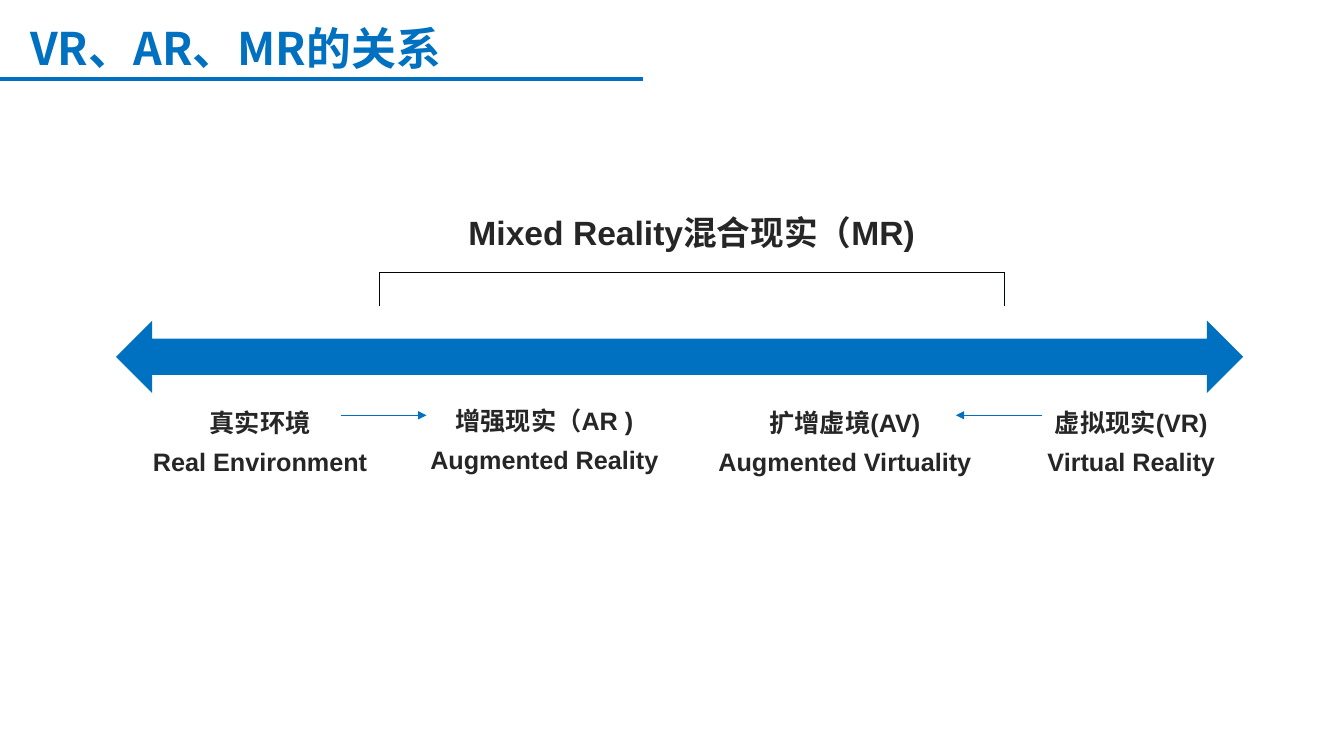
from dataclasses import dataclass

from lxml import etree
from pptx import Presentation
from pptx import util as u
from pptx.dml.color import RGBColor
from pptx.enum import shapes, text
from pptx.oxml import ns


@dataclass(frozen=True)
class Theme:
    blue: RGBColor = RGBColor(0x00, 0x70, 0xC0)
    ink: RGBColor = RGBColor(0x26, 0x26, 0x26)
    bracket: RGBColor = RGBColor(0x00, 0x05, 0x08)
    latin: str = "Arial"
    chinese: str = "Noto Sans CJK SC"
    title_size: int = 32
    heading_size: int = 24
    label_size: int = 18
    rule_width: float = 2.75
    thin_width: float = 0.5


THEME = Theme()


def add_text(page, left, top, width, height, lines, size, color=THEME.ink,
             font=THEME.latin, align=text.PP_ALIGN.CENTER):
    """Add a bold text box with one paragraph per line."""
    box = page.shapes.add_textbox(*map(u.Inches, (left, top, width, height)))
    frame = box.text_frame
    frame.word_wrap = True
    frame.auto_size = text.MSO_AUTO_SIZE.SHAPE_TO_FIT_TEXT
    frame.text = "\n".join(lines)
    for para in frame.paragraphs:
        para.alignment = align
        para.line_spacing = 1.3
        para.font.name = font
        para.font.size = u.Pt(size)
        para.font.bold = True
        para.font.color.rgb = color
        # Chinese characters take their own typeface
        latin = para._p.pPr.find(".//" + ns.qn("a:latin"))
        east_asian = etree.Element(ns.qn("a:ea"), typeface=THEME.chinese)
        latin.addnext(east_asian)


def add_line(page, start, end, color, width, arrow=False):
    """Add a straight line, with an arrowhead at its end if asked."""
    line = page.shapes.add_connector(
        shapes.MSO_CONNECTOR.STRAIGHT, *map(u.Inches, (*start, *end)))
    line.line.color.rgb = color
    line.line.width = u.Pt(width)
    if arrow:
        etree.SubElement(line.line._get_or_add_ln(), ns.qn("a:tailEnd"),
                         type="triangle")
    etree.SubElement(line._element.spPr, ns.qn("a:effectLst"))


def add_double_arrow(page, left, top, width, height):
    """Add the solid two-headed arrow."""
    arrow = page.shapes.add_shape(
        shapes.MSO_SHAPE.LEFT_RIGHT_ARROW,
        *map(u.Inches, (left, top, width, height)))
    arrow.shadow.inherit = False
    arrow.fill.solid()
    arrow.fill.fore_color.rgb = THEME.blue
    arrow.line.fill.background()


def add_bracket(page, left, right, top, bottom):
    """Add a bracket that opens downwards."""
    corners = [(left, bottom), (left, top), (right, top), (right, bottom)]
    for start, end in zip(corners, corners[1:]):
        add_line(page, start, end, THEME.bracket, THEME.thin_width)


def main():
    deck = Presentation()
    deck.slide_width = u.Inches(13.33)
    deck.slide_height = u.Inches(7.5)
    page = deck.slides.add_slide(deck.slide_layouts[6])

    # Title and its rule
    add_line(page, (0, 0.78), (6.38, 0.78), THEME.blue, THEME.rule_width)
    add_text(page, 0.2, 0, 6.18, 0.8, ["VR、AR、MR的关系"], THEME.title_size,
             THEME.blue, THEME.chinese, text.PP_ALIGN.LEFT)

    # Continuum from real to virtual
    add_double_arrow(page, 1.15, 3.18, 11.18, 0.72)
    labels = [
        (1.4, 3.9, 2.36, ["真实环境", "Real Environment"]),
        (4.13, 3.88, 2.54, ["增强现实（AR )", "Augmented Reality"]),
        (6.99, 3.9, 2.78, ["扩增虚境(AV)", "Augmented Virtuality"]),
        (10.04, 3.9, 2.36, ["虚拟现实(VR) Virtual Reality"]),
    ]
    for left, top, width, lines in labels:
        add_text(page, left, top, width, 0.89, lines, THEME.label_size)

    # Mixed reality span
    add_bracket(page, 3.76, 9.96, 2.7, 3.04)
    add_text(page, 4.41, 1.93, 4.9, 0.63, ["Mixed Reality混合现实（MR)"],
             THEME.heading_size)

    # Arrows from both ends towards the middle
    for start, end in ((3.38, 4.23), (10.33, 9.48)):
        add_line(page, (start, 4.12), (end, 4.12), THEME.blue,
                 THEME.thin_width, arrow=True)

    deck.save("out.pptx")


if __name__ == "__main__":
    main()
